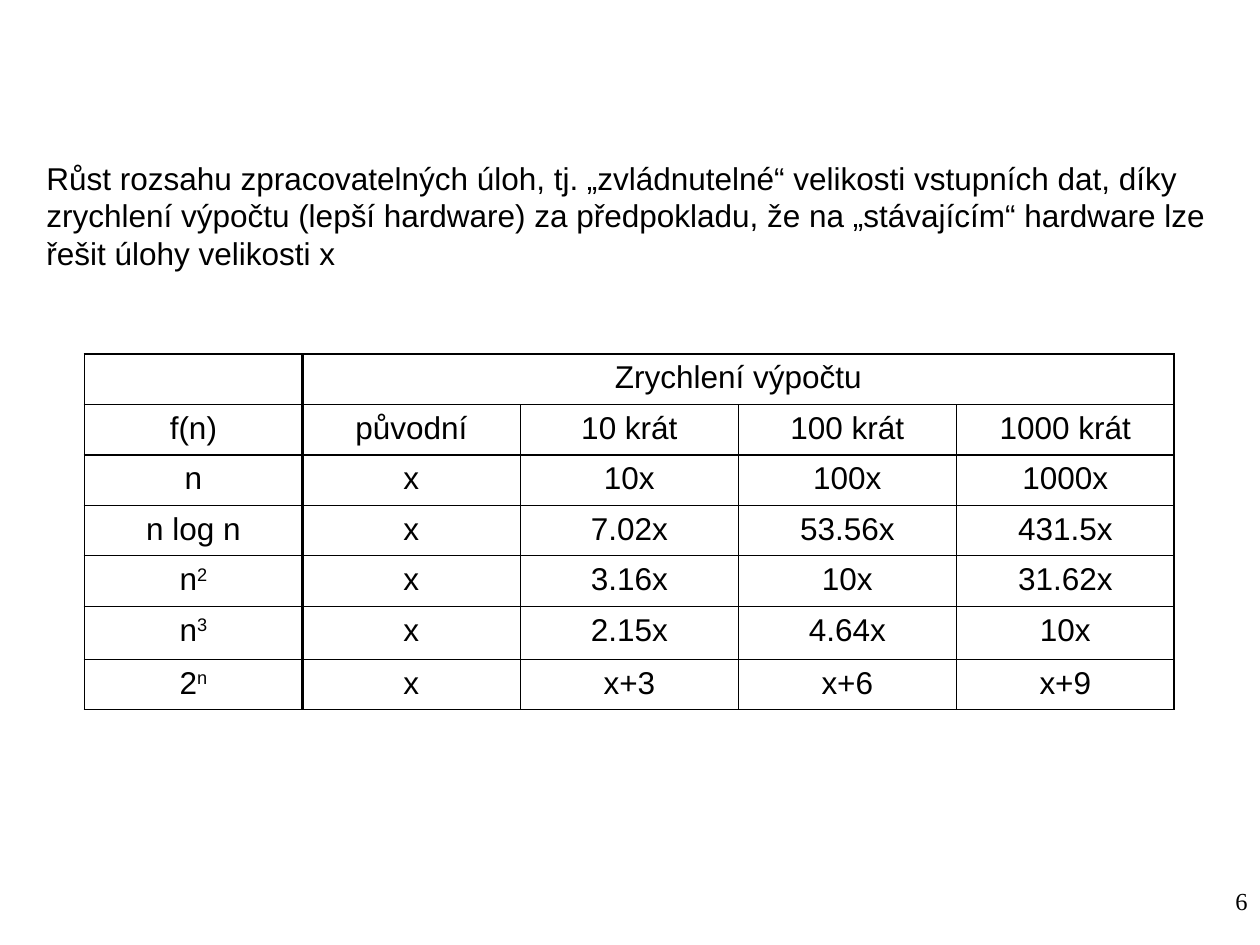
from pptx import Presentation
from pptx.dml.color import RGBColor
from pptx.enum.text import PP_ALIGN
from pptx.oxml import parse_xml
from pptx.oxml.ns import nsdecls
from pptx.util import Inches, Pt

BLACK = RGBColor(0, 0, 0)
SANS, SERIF = "Arial", "Times New Roman"
THIN, EDGE, THICK = 0.45, 1.08, 1.47

INTRO = ("Růst rozsahu zpracovatelných úloh, tj. „zvládnutelné“ velikosti "
         "vstupních dat, díky zrychlení výpočtu (lepší hardware) za "
         "předpokladu, že na „stávajícím“ hardware lze řešit úlohy velikosti x")
# "^" starts a superscript
ROWS = [
    ["", "Zrychlení výpočtu", "", "", ""],
    ["f(n)", "původní", "10 krát", "100 krát", "1000 krát"],
    ["n", "x", "10x", "100x", "1000x"],
    ["n log n", "x", "7.02x", "53.56x", "431.5x"],
    ["n^2", "x", "3.16x", "10x", "31.62x"],
    ["n^3", "x", "2.15x", "4.64x", "10x"],
    ["2^n", "x", "x+3", "x+6", "x+9"],
]
HEIGHTS = [0.4, 0.4, 0.4, 0.4, 0.4, 0.42, 0.4]
COL = 1.73
# Line widths of the grid, from first edge to last
ACROSS = [EDGE, THIN, THICK, THIN, THIN, THIN, THIN, EDGE]
DOWN = [EDGE, THICK, THIN, THIN, THIN, EDGE]


def style(par, size, face, align):
    par.alignment = align
    for run in par.runs:
        run.font.size, run.font.name = Pt(size), face
        run.font.color.rgb = BLACK


def add_text(slide, text, box, size, face, align, top=0.05):
    frame = slide.shapes.add_textbox(*map(Inches, box)).text_frame
    frame.word_wrap = True
    frame.margin_top = Inches(top)
    frame.text = text
    style(frame.paragraphs[0], size, face, align)


def set_border(cell, side, width):
    cell._tc.get_or_add_tcPr().append(parse_xml(
        f'<a:{side} {nsdecls("a")} w="{Pt(width)}"><a:solidFill>'
        f'<a:srgbClr val="{BLACK}"/></a:solidFill></a:{side}>'))


def fill_cell(cell, text):
    par = cell.text_frame.paragraphs[0]
    base, _, power = text.partition("^")
    par.text = base
    if power:
        run = par.add_run()
        run.text = power
        run.font._element.set("baseline", "30000")
    style(par, 18, SANS, PP_ALIGN.CENTER)
    if not text:
        par.font.size = Pt(18)


def add_grid(slide):
    count = len(ROWS[0])
    table = slide.shapes.add_table(
        len(ROWS), count, Inches(0.67), Inches(2.81),
        Inches(COL * count), Inches(sum(HEIGHTS))).table
    table.first_row = table.horz_banding = False
    for col in table.columns:
        col.width = Inches(COL)
    for r, (row, high) in enumerate(zip(ROWS, HEIGHTS)):
        table.rows[r].height = Inches(high)
        for c, text in enumerate(row):
            cell = table.cell(r, c)
            fill_cell(cell, text)
            right = EDGE if r == 0 and c > 0 else DOWN[c + 1]
            for side, width in (("lnL", DOWN[c]), ("lnR", right),
                                ("lnT", ACROSS[r]), ("lnB", ACROSS[r + 1])):
                set_border(cell, side, width)
            cell.fill.background()
    table.cell(0, 1).merge(table.cell(0, count - 1))


def main():
    deck = Presentation()
    deck.slide_width, deck.slide_height = Inches(10), Inches(7.5)
    slide = deck.slides.add_slide(deck.slide_layouts[6])
    add_text(slide, INTRO, (0.27, 0.28, 9.53, 2.37), 18, SANS,
             PP_ALIGN.LEFT, top=0.98)
    add_grid(slide)
    add_text(slide, "6", (7.67, 6.98, 2.33, 0.52), 14, SERIF, PP_ALIGN.RIGHT)
    deck.save("out.pptx")


if __name__ == "__main__":
    main()
